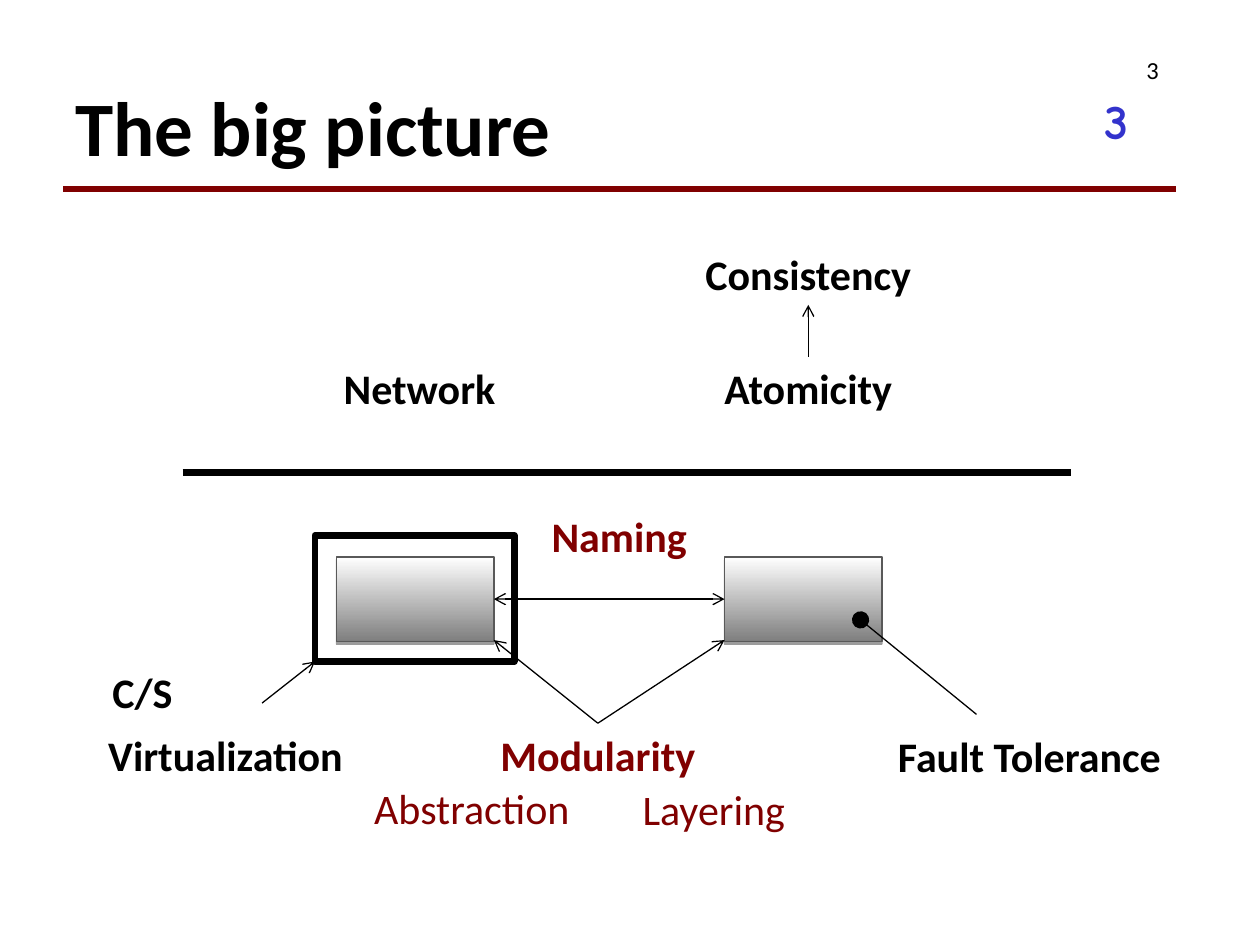
from lxml import etree
from pptx import Presentation
from pptx.dml.color import RGBColor
from pptx.enum.shapes import MSO_CONNECTOR as Connector, MSO_SHAPE as Shape
from pptx.enum.text import MSO_ANCHOR as Anchor, MSO_AUTO_SIZE as AutoSize, PP_ALIGN as Align
from pptx.oxml.ns import qn
from pptx.util import Inches, Pt

BLACK, MAROON, BLUE = "000000", "800000", "3333CC"
TOP, LEFT, BOTTOM, RIGHT = range(4)

# Centred labels: text, (left, top, width), colour, bold
LABELS = [
    ("Naming", (4.08, 4, 1.67), MAROON, True),
    ("Modularity", (3.83, 5.74, 1.83), MAROON, True),
    ("Abstraction", (2.83, 6.16, 1.83), MAROON, False),
    ("Layering", (4.75, 6.17, 1.83), MAROON, False),
    ("Network", (2.58, 2.83, 1.5), BLACK, True),
    ("Atomicity", (5.58, 2.83, 1.67), BLACK, True),
    ("Consistency", (5.25, 1.92, 2.33), BLACK, True),
    ("C/S", (0.67, 5.24, 0.92), BLACK, True),
    ("Virtualization", (0.75, 5.74, 2.08), BLACK, True),
    ("Fault Tolerance", (6.92, 5.75, 2.5), BLACK, True),
]


def color(value):
    return RGBColor.from_string(value)


def add_text(page, text, place, size, hue=BLACK, font="Calibri", bold=False,
             align=Align.LEFT, **frame_format):
    box = page.shapes.add_textbox(*map(Inches, place))
    frame = box.text_frame
    for name, value in {"word_wrap": True, **frame_format}.items():
        setattr(frame, name, value)
    para = frame.paragraphs[0]
    para.alignment = align
    span = para.add_run()
    span.text = text
    for name, value in {"name": font, "size": Pt(size), "bold": bold}.items():
        setattr(span.font, name, value)
    span.font.color.rgb = color(hue)
    return box


def add_label(page, text, place, hue, bold):
    return add_text(page, text, (*place, 0.5), 24, hue, bold=bold,
                    align=Align.CENTER, auto_size=AutoSize.SHAPE_TO_FIT_TEXT)


def add_line(page, start, end, width=0.75, hue=BLACK, head=None, tail=None, size="med"):
    line = page.shapes.add_connector(Connector.STRAIGHT, *map(Inches, (*start, *end)))
    line.line.width = Pt(width)
    line.line.color.rgb = color(hue)
    outline = line.line._get_or_add_ln()
    for tag, kind in (("a:headEnd", head), ("a:tailEnd", tail)):
        if kind:
            etree.SubElement(outline, qn(tag), type=kind, w=size, len=size)
    etree.SubElement(line._element.spPr, qn("a:effectLst"))
    return line


def add_rectangle(page, place, hue, width):
    box = page.shapes.add_shape(Shape.RECTANGLE, *map(Inches, place))
    box.shadow.inherit = False
    box.fill.background()
    box.line.color.rgb = color(hue)
    box.line.width = Pt(width)
    return box


def add_module(page, left):
    box = add_rectangle(page, (left, 4.42, 1.25, 0.67), "595959", 0.75)
    box.fill.gradient()
    box.fill.gradient_angle = 270
    for stop, hue in zip(box.fill.gradient_stops, ("FFFFFF", "7F7F7F")):
        stop.color.rgb = color(hue)
    # Soft black shadow straight below
    effects = box._element.spPr.find(qn("a:effectLst"))
    shadow = etree.SubElement(effects, qn("a:outerShdw"), blurRad="0",
                              dist=str(Pt(1.6)), dir="5400000", rotWithShape="0")
    shade = etree.SubElement(shadow, qn("a:srgbClr"), val=BLACK)
    etree.SubElement(shade, qn("a:alpha"), val="38000")
    return box


def main():
    deck = Presentation()
    deck.slide_width, deck.slide_height = Inches(10), Inches(7.5)
    page = deck.slides.add_slide(deck.slide_layouts[6])

    # Heading and page numbers
    add_line(page, (0.5, 1.5), (9.33, 1.5), 3, MAROON)
    add_text(page, "3", (8.67, 0.67, 1.17, 0.67), 28, BLUE, "Comic Neue", True)
    add_text(page, "The big picture", (0.5, 0.5, 8.33, 1), 44, bold=True,
             vertical_anchor=Anchor.MIDDLE)
    add_text(page, "3", (9, 0.39, 0.83, 0.83), 14)

    # Two modules, the first one enclosed by a frame
    client, server = [add_module(page, left) for left in (2.67, 5.75)]
    link = add_line(page, (3.92, 4.75), (5.75, 4.75), head="arrow", tail="arrow")
    link.begin_connect(client, RIGHT)
    link.end_connect(server, LEFT)
    add_rectangle(page, (2.5, 4.25, 1.58, 1), BLACK, 4)

    # Labels and the divider between the layers
    labels = {text: add_label(page, text, *rest) for text, *rest in LABELS}
    add_line(page, (1.45, 3.75), (8.5, 3.75), 4)

    # Arrows from the labels
    for corner in (3.92, 5.75):
        arrow = add_line(page, (corner, 5.08), (4.75, 5.75), head="arrow")
        arrow.end_connect(labels["Modularity"], TOP)
    rise = add_line(page, (6.42, 2.42), (6.42, 2.83), head="arrow")
    rise.begin_connect(labels["Consistency"], BOTTOM)
    rise.end_connect(labels["Atomicity"], TOP)
    add_line(page, (2.5, 5.25), (2.08, 5.58), head="arrow")
    add_line(page, (6.83, 4.92), (7.75, 5.67), head="oval", size="lg")

    deck.save("out.pptx")


if __name__ == "__main__":
    main()
